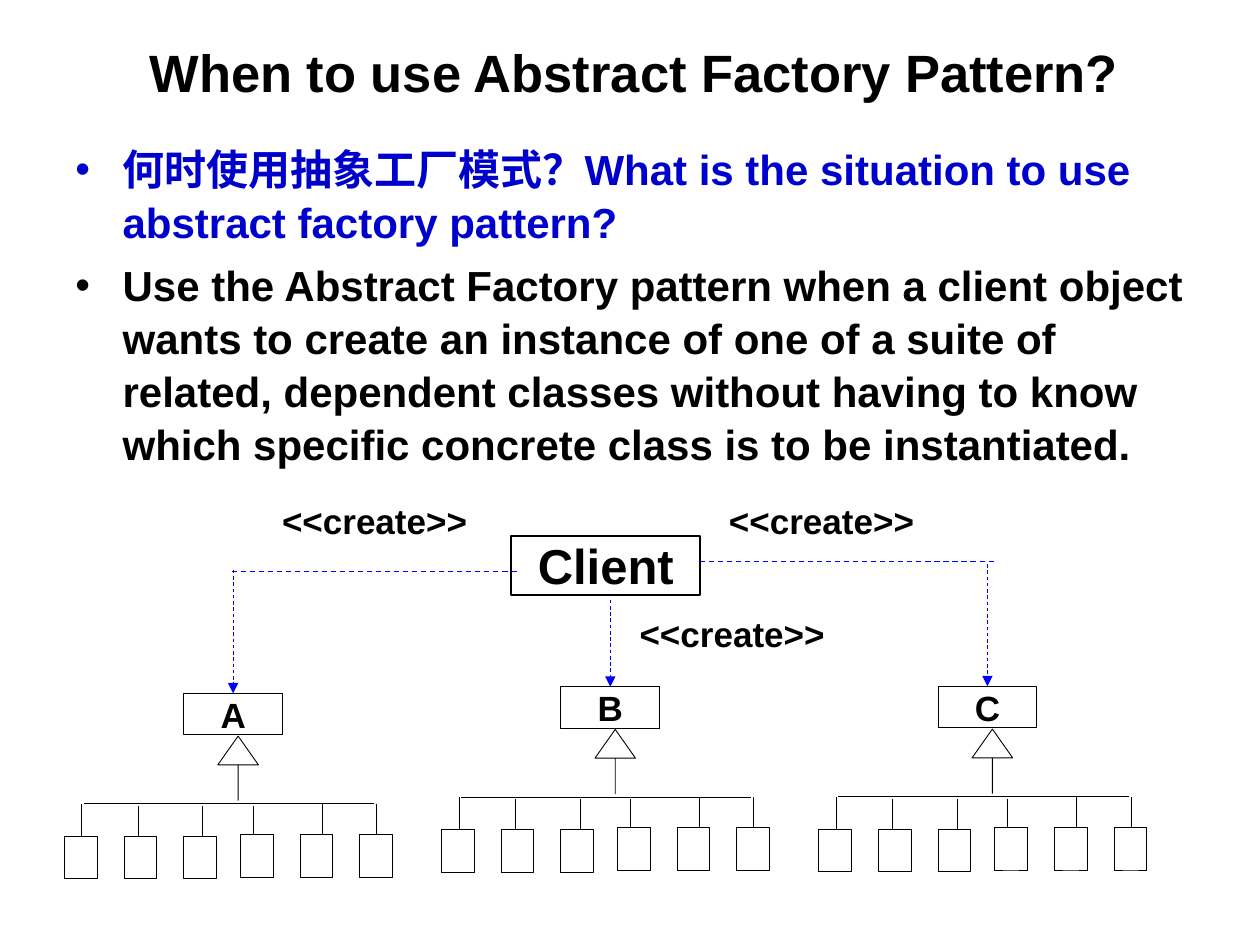
from pptx import Presentation
from pptx.dml.color import RGBColor
from pptx.enum.dml import MSO_LINE
from pptx.enum.shapes import MSO_CONNECTOR, MSO_SHAPE
from pptx.enum.text import MSO_ANCHOR, PP_ALIGN
from pptx.oxml.ns import qn
from pptx.util import Pt
from lxml.etree import SubElement

COLORS = {"ink": "000000", "blue": "0000CC", "arrow": "0000FF", "paper": "FFFFFF"}


class Deck:
    font = "Arial"

    def __init__(self, width, height):
        self.prs = Presentation()
        self.prs.slide_width, self.prs.slide_height = Pt(width), Pt(height)
        self.s = self.prs.slides.add_slide(self.prs.slide_layouts[6])

    def color(self, name):
        return RGBColor.from_string(COLORS[name])

    def run(self, p, text, size, color="ink"):
        r = p.add_run()
        r.text = text
        r.font.name, r.font.size, r.font.bold = self.font, Pt(size), True
        r.font.color.rgb = self.color(color)

    def text(self, x, y, w, h, text, size, align=PP_ALIGN.LEFT, anchor=MSO_ANCHOR.TOP, fill=False):
        sp = self.s.shapes.add_textbox(Pt(x), Pt(y), Pt(w), Pt(h))
        if fill:
            sp.fill.solid()
            sp.fill.fore_color.rgb = self.color("paper")
        tf = sp.text_frame
        tf.word_wrap, tf.vertical_anchor = True, anchor
        p = tf.paragraphs[0]
        p.alignment = align
        self.run(p, text, size)

    def bullets(self, x, y, w, h, items, size, indent):
        tf = self.s.shapes.add_textbox(Pt(x), Pt(y), Pt(w), Pt(h)).text_frame
        tf.word_wrap = True
        for i, (text, color) in enumerate(items):
            p = tf.add_paragraph() if i else tf.paragraphs[0]
            p.line_spacing = 1.05
            p.space_before = Pt(6 if i else 0)
            pPr = p._p.get_or_add_pPr()
            pPr.set("marL", str(Pt(indent)))
            pPr.set("indent", str(-Pt(indent)))
            clr = SubElement(pPr, qn("a:buClr"))
            SubElement(clr, qn("a:srgbClr"), val=COLORS[color])
            SubElement(pPr, qn("a:buFont"), typeface=self.font)
            SubElement(pPr, qn("a:buChar"), char="•")
            self.run(p, text, size, color)

    def shape(self, x, y, w, h, kind=MSO_SHAPE.RECTANGLE, line=0.5, text=None, size=20):
        sp = self.s.shapes.add_shape(kind, Pt(x), Pt(y), Pt(w), Pt(h))
        sp.shadow.inherit = False
        sp.fill.solid()
        sp.fill.fore_color.rgb = self.color("paper")
        sp.line.color.rgb = self.color("ink")
        sp.line.width = Pt(line)
        if text:
            tf = sp.text_frame
            tf.margin_left = tf.margin_right = tf.margin_top = tf.margin_bottom = 0
            tf.word_wrap, tf.vertical_anchor = True, MSO_ANCHOR.MIDDLE
            p = tf.paragraphs[0]
            p.alignment = PP_ALIGN.CENTER
            self.run(p, text, size)
        return sp

    def line(self, x1, y1, x2, y2, color="ink", width=0.5, dash=False, arrow=False):
        c = self.s.shapes.add_connector(MSO_CONNECTOR.STRAIGHT, Pt(x1), Pt(y1), Pt(x2), Pt(y2))
        c.line.color.rgb = self.color(color)
        c.line.width = Pt(width)
        if dash:
            c.line.dash_style = MSO_LINE.DASH
        if arrow:
            SubElement(c.line._get_or_add_ln(), qn("a:tailEnd"), type="triangle")
        SubElement(c._element.spPr, qn("a:effectLst"))
        return c

    def family(self, x, y, name):
        parent = self.shape(x, y, 56.5, 23.8, text=name)
        self.line(x - 56.9, y + 63.2, x + 108.9, y + 63.2)
        for dx in (-58.2, -25.9, 10.9, 39.6, 79.2, 110.3):
            top = y + (63.1 if abs(dx) > 50 or dx > 100 else 64.3)
            self.line(x + dx, top, x + dx, top + 39.4)
        arrow = self.shape(x + 19.5, y + 24.4, 23.2, 36.7, MSO_SHAPE.UP_ARROW)
        arrow.adjustments[0], arrow.adjustments[1] = 0, 0.71
        for i in range(6):
            left, top = (-68.2, 81.6) if i < 3 else (-69.9, 80.5)
            self.shape(x + left + 34.1 * i, y + top, 18.7, 24.5)
        return parent


def main():
    d = Deck(720, 540)
    d.bullets(36, 77, 653, 193, [
        ("何时使用抽象工厂模式？What is the situation to use abstract factory pattern?", "blue"),
        ("Use the Abstract Factory pattern when a client object wants to create an instance of "
         "one of a suite of related, dependent classes without having to know which specific "
         "concrete class is to be instantiated.", "ink"),
    ], 24, 27)
    d.text(36, 21.6, 653, 39, "When to use Abstract Factory Pattern?", 30,
           PP_ALIGN.CENTER, MSO_ANCHOR.MIDDLE)

    d.shape(292.2, 306.2, 108, 33.8, line=1, text="Client", size=28)
    families = [("A", 396.2, 325.6), ("B", 392.4, 342.7), ("C", 392.2, 322.4)]
    for i, (name, top, start) in enumerate(families):
        parent = d.family(105 + 215.5 * i, top, name)
        x = 133.25 + 215.5 * i
        arrow = d.line(x, start, x, top, "arrow", dash=True, arrow=True)
        arrow.end_connect(parent, 0)
    for x1, x2, y in [(132.3, 296.4, 326.7), (399.8, 569.3, 321)]:
        d.line(x1, y, x2, y, "arrow", 0.75, dash=True)

    for x, y in [(154.1, 281.7), (409.5, 281.7), (358.4, 346.6)]:
        d.text(x, y, 131.8, 31.5, "<<create>>", 20, fill=True)
    d.prs.save("out.pptx")


if __name__ == "__main__":
    main()
